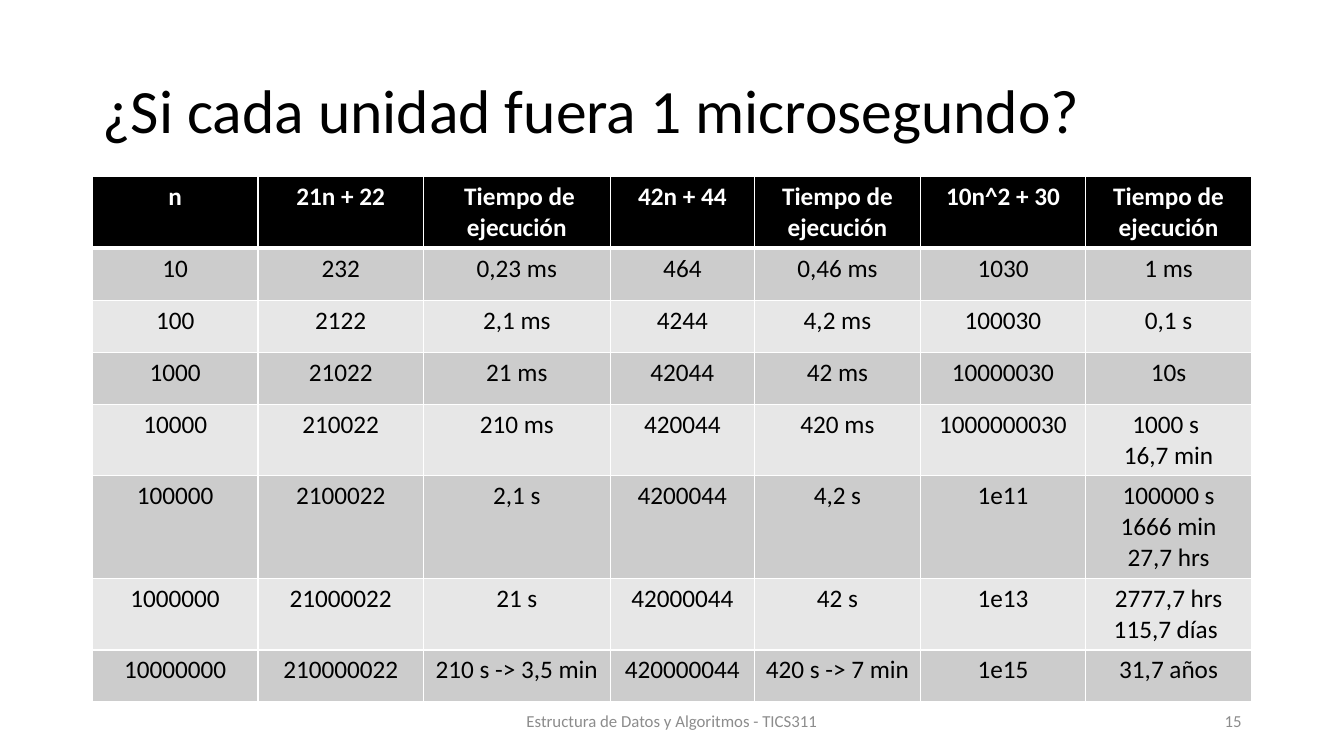
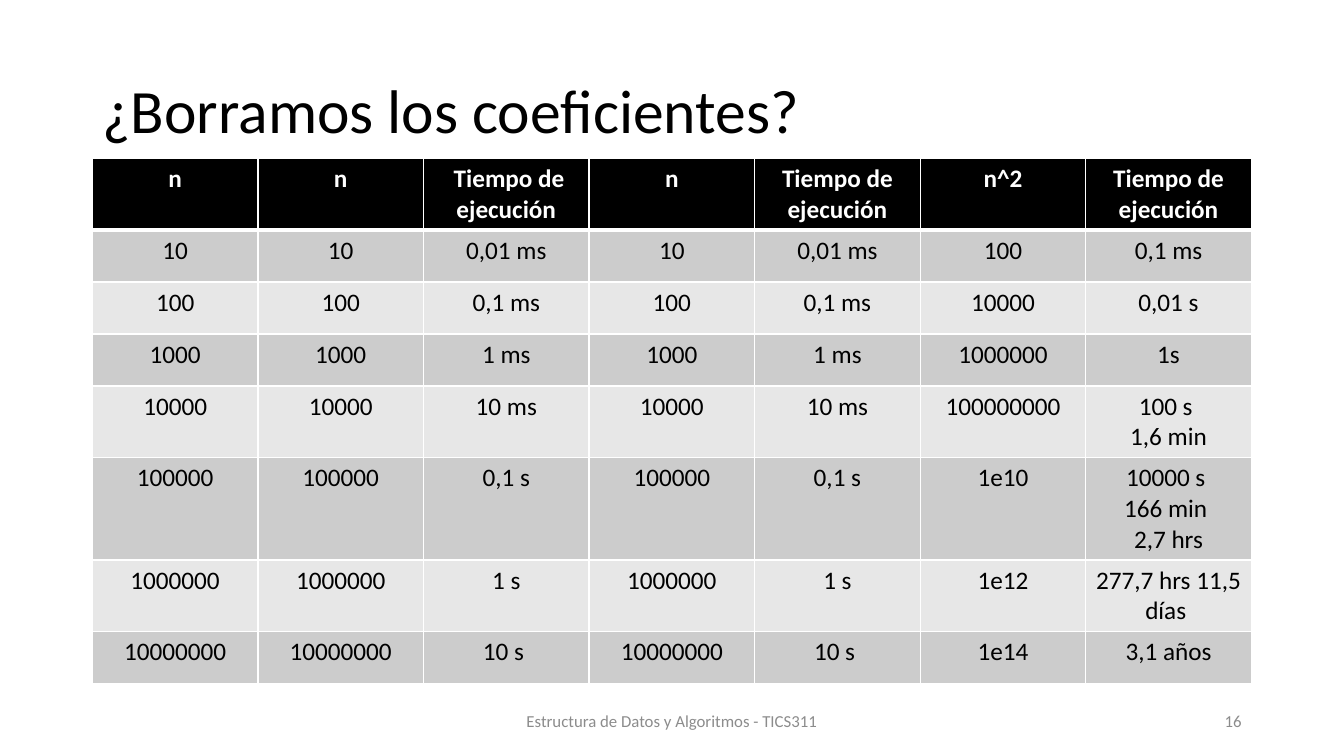
import pptx
import pptx.dml.color
import pptx.enum.text
import pptx.oxml
import pptx.oxml.ns
import pptx.util

Pt = pptx.util.Pt
RGB = pptx.dml.color.RGBColor.from_string
ALIGN = pptx.enum.text.PP_ALIGN
MIDDLE = pptx.enum.text.MSO_ANCHOR.MIDDLE
NO_FIT = pptx.enum.text.MSO_AUTO_SIZE.NONE


class Theme:
    font = "Calibri"
    black, white, grey = "000000", "FFFFFF", "8C8C8C"
    bands = ("CCCCCC", "E7E7E7")
    title = {"size": Pt(44), "bold": False, "color": black}
    header = {"size": Pt(18), "bold": True, "color": white}
    body = {"size": Pt(18), "bold": False, "color": black}
    footer = {"size": Pt(12), "bold": False, "color": grey}
    thin, thick = 1, 3
    left, width = 66, 828
    row_height = 37.15
    footer_top, footer_height = 500.4, 28.8


class Deck:
    """Build slides that share one theme, keeping hold of the current slide."""

    def __init__(self, theme):
        self.theme = theme
        self.prs = pptx.Presentation()
        self.prs.slide_width, self.prs.slide_height = Pt(960), Pt(540)
        self.s = None

    def set_text(self, tf, text, fmt, align):
        tf.text = text
        for p in tf.paragraphs:
            p.alignment = align
            for r in p.runs:
                r.font.name = self.theme.font
                for key, value in fmt.items():
                    if key == "color":
                        r.font.color.rgb = RGB(value)
                    else:
                        setattr(r.font, key, value)

    def place(self, sp, box):
        for key, value in zip(("left", "top", "width", "height"), box):
            setattr(sp, key, Pt(value))

    def frame(self, tf):
        for key, value in {"word_wrap": True, "auto_size": NO_FIT,
                           "vertical_anchor": MIDDLE}.items():
            setattr(tf, key, value)

    def slide(self, title, number):
        t = self.theme
        self.s = self.prs.slides.add_slide(self.prs.slide_layouts[5])
        sp = self.s.shapes.title
        self.place(sp, (t.left, 28.8, t.width, 104.4))
        self.frame(sp.text_frame)
        self.set_text(sp.text_frame, title, t.title, ALIGN.LEFT)
        sp.text_frame.paragraphs[0].line_spacing = 0.9
        self.footer("Estructura de Datos y Algoritmos - TICS311", 318, 324, ALIGN.CENTER)
        self.footer(str(number), 678, 216, ALIGN.RIGHT)

    def footer(self, text, left, width, align):
        t = self.theme
        box = (left, t.footer_top, width, t.footer_height)
        sp = self.s.shapes.add_textbox(*map(Pt, box))
        self.frame(sp.text_frame)
        self.set_text(sp.text_frame, text, t.footer, align)

    def borders(self, cell, top, bottom):
        thin = self.theme.thin
        sides = {"lnL": thin, "lnR": thin, "lnT": top, "lnB": bottom}
        tc_pr = cell._tc.get_or_add_tcPr()
        for i, (side, width) in enumerate(sides.items()):
            tc_pr.insert(i, pptx.oxml.parse_xml(
                f'<a:{side} {pptx.oxml.ns.nsdecls("a")} w="{Pt(width)}"><a:solidFill>'
                f'<a:srgbClr val="{self.theme.white}"/></a:solidFill></a:{side}>'))

    def table(self, rows, top, shift=0):
        t = self.theme
        n_cols = len(rows[0])
        box = (t.left, top, t.width, t.row_height * len(rows))
        tbl = self.s.shapes.add_table(len(rows), n_cols, *map(Pt, box)).table
        tbl.horz_banding = False
        widths = [t.width / n_cols] * n_cols
        widths[2] += shift
        widths[3] -= shift
        for col, width in zip(tbl.columns, widths):
            col.width = Pt(width)
        for i, row in enumerate(rows):
            fill = t.bands[(i - 1) % 2] if i else t.black
            for j, text in enumerate(row):
                cell = tbl.cell(i, j)
                self.set_text(cell.text_frame, text, t.body if i else t.header, ALIGN.CENTER)
                cell.fill.solid()
                cell.fill.fore_color.rgb = RGB(fill)
                self.borders(cell, t.thick if i == 1 else t.thin, t.thin if i else t.thick)


TIME = "Tiempo de ejecución"

MICROSECONDS = [
    ("n", "21n + 22", " " + TIME, "42n + 44", TIME, "10n^2 + 30", TIME),
    ("10", "232", "0,23 ms", "464", "0,46 ms", "1030", "1 ms"),
    ("100", "2122", "2,1 ms", "4244", "4,2 ms", "100030", "0,1 s"),
    ("1000", "21022", "21 ms", "42044", "42 ms", "10000030", "10s"),
    ("10000", "210022", "210 ms", "420044", "420 ms", "1000000030", "1000 s \n16,7 min"),
    ("100000", "2100022", "2,1 s", "4200044", "4,2 s", "1e11", "100000 s 1666 min 27,7 hrs"),
    ("1000000", "21000022", "21 s", "42000044", "42 s", "1e13", "2777,7 hrs 115,7 días "),
    ("10000000", "210000022", "210 s -> 3,5 min", "420000044", "420 s -> 7 min", "1e15",
     "31,7 años"),
]

LINEAR_AND_SQUARE = [
    ("10", "0,01 ms", "100", "0,1 ms"),
    ("100", "0,1 ms", "10000", "0,01 s"),
    ("1000", "1 ms", "1000000", "1s"),
    ("10000", "10 ms", "100000000", "100 s \n1,6 min"),
    ("100000", "0,1 s", "1e10", "10000 s \n166 min \n2,7 hrs"),
    ("1000000", "1 s", "1e12", "277,7 hrs 11,5 días "),
    ("10000000", "10 s ", "1e14", "3,1 años"),
]

NO_COEFFICIENTS = [("n", "n", " " + TIME, "n", TIME, "n^2", TIME)] + [
    (n, n, linear, n, linear, square, time) for n, linear, square, time in LINEAR_AND_SQUARE
]


def main():
    deck = Deck(Theme)
    deck.slide("¿Si cada unidad fuera 1 microsegundo?", 15)
    deck.table(MICROSECONDS, 126.2, shift=15)
    deck.slide("¿Borramos los coeficientes?", 16)
    deck.table(NO_COEFFICIENTS, 113.2)
    deck.prs.save("out.pptx")


if __name__ == "__main__":
    main()
